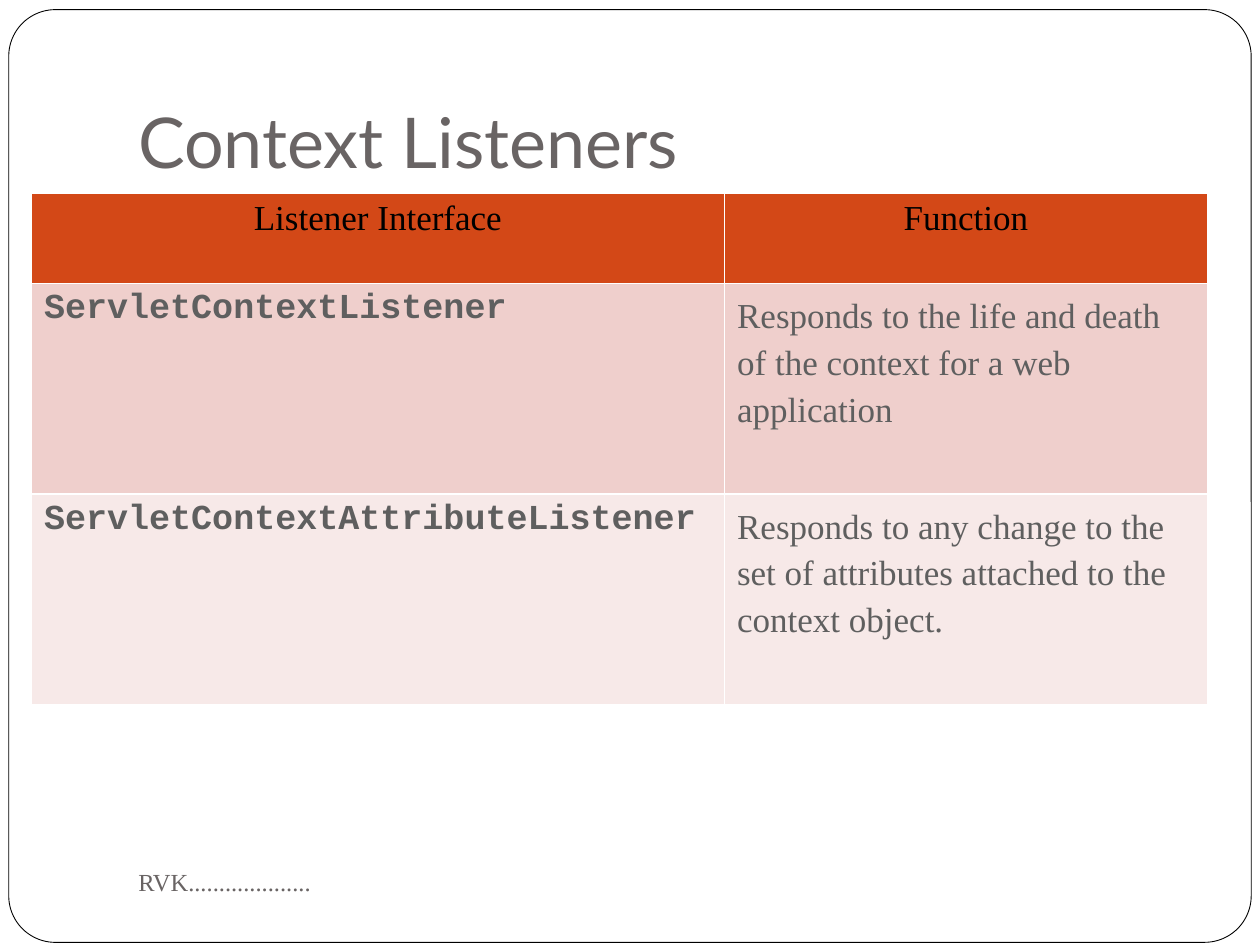
from lxml.etree import SubElement
from pptx import Presentation
from pptx.dml.color import RGBColor
from pptx.enum.shapes import MSO_SHAPE
from pptx.enum.text import MSO_ANCHOR, PP_ALIGN
from pptx.oxml.ns import qn
from pptx.util import Pt

COLORS = {
    "white": "FFFFFF",
    "black": "000000",
    "title": "696464",
    "body": "5F5F5F",
    "header": "D34817",
    "band1": "EFCFCC",
    "band2": "F7E9E8",
}
SERIF = "Times New Roman"
MONO = "Courier New"


def rgb(name):
    return RGBColor.from_string(COLORS[name])


class Deck:
    def __init__(self, width, height):
        self.prs = Presentation()
        self.prs.slide_width, self.prs.slide_height = Pt(width), Pt(height)
        self.s = self.prs.slides.add_slide(self.prs.slide_layouts[6])

    def frame(self, x, y, w, h):
        sp = self.s.shapes.add_shape(
            MSO_SHAPE.ROUNDED_RECTANGLE, Pt(x), Pt(y), Pt(w), Pt(h))
        sp.adjustments[0] = 0.05
        sp.shadow.inherit = False
        sp.fill.solid()
        sp.fill.fore_color.rgb = rgb("white")
        sp.line.color.rgb = rgb("black")
        sp.line.width = Pt(0.5)

    def style_text(self, p, text, font, size, color, bold=False):
        p.text = text
        p.font.name = font
        p.font.size = Pt(size)
        p.font.bold = bold
        p.font.color.rgb = rgb(color)

    def text(self, x, y, w, h, text, font, size, anchor, bottom=3.6):
        tf = self.s.shapes.add_textbox(Pt(x), Pt(y), Pt(w), Pt(h)).text_frame
        tf.word_wrap = True
        tf.vertical_anchor = anchor
        tf.margin_bottom = Pt(bottom)
        self.style_text(tf.paragraphs[0], text, font, size, "title")

    def borders(self, cell):
        tcPr = cell._tc.get_or_add_tcPr()
        for i, side in enumerate(("lnL", "lnR", "lnT", "lnB")):
            ln = SubElement(tcPr, qn(f"a:{side}"), w=str(Pt(1)))
            tcPr.insert(i, ln)
            fill = SubElement(ln, qn("a:solidFill"))
            SubElement(fill, qn("a:srgbClr"), val=COLORS["white"])

    def table(self, x, y, widths, heights, rows, fills):
        table = self.s.shapes.add_table(
            len(rows), len(widths), Pt(x), Pt(y),
            Pt(sum(widths)), Pt(sum(heights))).table
        for col, width in zip(table.columns, widths):
            col.width = Pt(width)
        for i, (values, height, fill) in enumerate(zip(rows, heights, fills)):
            table.rows[i].height = Pt(height)
            for j, value in enumerate(values):
                cell = table.cell(i, j)
                cell.fill.solid()
                cell.fill.fore_color.rgb = rgb(fill)
                self.borders(cell)
                p = cell.text_frame.paragraphs[0]
                if i == 0:
                    p.alignment = PP_ALIGN.CENTER
                    self.style_text(p, value, SERIF, 20, "black")
                elif j == 0:
                    self.style_text(p, value, MONO, 20, "body", True)
                else:
                    p.line_spacing = 1.2
                    self.style_text(p, value, SERIF, 20, "body")


def main():
    deck = Deck(720, 540)
    deck.frame(5, 5.5, 710, 533)
    deck.text(72, 21.6, 612, 90, "Context Listeners", "Lato", 40,
              MSO_ANCHOR.BOTTOM, 7.2)
    deck.text(72, 486, 312, 36, "RVK....................", SERIF, 14,
              MSO_ANCHOR.MIDDLE)
    deck.table(
        18, 110.4, [396, 276], [51.6, 120.3, 120.3],
        [
            ("Listener Interface", "Function"),
            ("ServletContextListener",
             "Responds to the life and death of the context for a web application"),
            ("ServletContextAttributeListener",
             "Responds to any change to the set of attributes attached to the context object."),
        ],
        ["header", "band1", "band2"])
    deck.prs.save("out.pptx")


if __name__ == "__main__":
    main()
